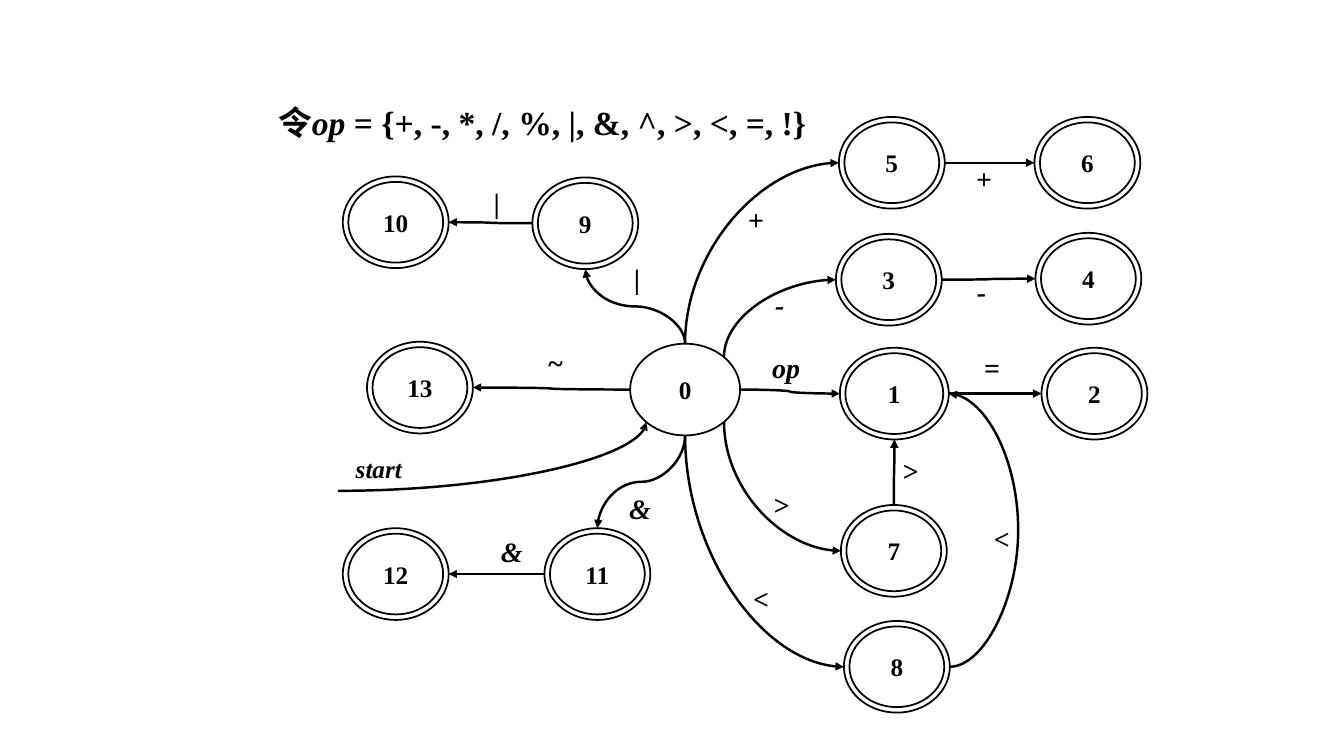
from math import cos, pi, sin

from lxml.etree import SubElement
from pptx import Presentation
from pptx.dml.color import RGBColor
from pptx.enum.shapes import MSO_CONNECTOR, MSO_SHAPE
from pptx.enum.text import MSO_ANCHOR, MSO_AUTO_SIZE, PP_ALIGN
from pptx.oxml.ns import qn
from pptx.util import Inches, Pt

TOP, LEFT, LOWER_LEFT, BOTTOM, LOWER_RIGHT, RIGHT, UPPER_RIGHT = 0, 2, 3, 4, 5, 6, 7
SIDES = (LEFT, RIGHT)


def color(hex_string):
    return RGBColor.from_string(hex_string)


class Diagram:
    ink = "000000"
    paper = "FFFFFF"
    latin = "Times New Roman"
    chinese = "Noto Sans CJK SC"

    def __init__(self, slide):
        self.slide = slide
        self.states = {}

    def run(self, paragraph, text, size, italic=False, font=None):
        run = paragraph.add_run()
        run.text = text
        run.font.name = font or self.latin
        run.font.size = Pt(size)
        run.font.bold = True
        run.font.italic = italic
        run.font.color.rgb = color(self.ink)
        if font:
            SubElement(run.font._element, qn("a:ea"), typeface=font)

    def title(self, runs, left, top, width, height):
        title = self.slide.shapes.title
        title.left, title.top = Inches(left), Inches(top)
        title.width, title.height = Inches(width), Inches(height)
        frame = title.text_frame
        frame.word_wrap = True
        frame.auto_size = MSO_AUTO_SIZE.NONE
        frame.vertical_anchor = MSO_ANCHOR.TOP
        paragraph = frame.paragraphs[0]
        paragraph.alignment = PP_ALIGN.LEFT
        for text, italic, font in runs:
            self.run(paragraph, text, 24, italic, font)

    def state(self, name, left, top, width=1.05, accepting=True):
        preset = MSO_SHAPE.DONUT if accepting else MSO_SHAPE.OVAL
        shape = self.slide.shapes.add_shape(
            preset, Inches(left), Inches(top), Inches(width), Inches(0.91))
        if accepting:
            shape.adjustments[0] = 0.06
        shape.shadow.inherit = False
        shape.fill.solid()
        shape.fill.fore_color.rgb = color(self.paper)
        shape.line.color.rgb = color(self.ink)
        shape.line.width = Pt(1.25)
        shape.text_frame.vertical_anchor = MSO_ANCHOR.MIDDLE
        paragraph = shape.text_frame.paragraphs[0]
        paragraph.alignment = PP_ALIGN.CENTER
        self.run(paragraph, name, 18)
        self.states[name] = shape

    def label(self, text, left, top, width=0.42, size=20):
        box = self.slide.shapes.add_textbox(
            Inches(left), Inches(top), Inches(width), Inches(0.44))
        box.text_frame.word_wrap = True
        box.text_frame.auto_size = MSO_AUTO_SIZE.SHAPE_TO_FIT_TEXT
        self.run(box.text_frame.paragraphs[0], text, size, italic=True)

    def site(self, name, index):
        shape = self.states[name]
        angle = index * pi / 4
        x = shape.left + shape.width / 2 * (1 - sin(angle))
        y = shape.top + shape.height / 2 * (1 - cos(angle))
        return round(x), round(y)

    def arrow(self, source, source_site, target, target_site, start=None, bulge=None):
        x1, y1 = start or self.site(source, source_site)
        x2, y2 = self.site(target, target_site)
        connector = self.slide.shapes.add_connector(MSO_CONNECTOR.CURVE, x1, y1, x2, y2)
        connector.line.color.rgb = color(self.ink)
        connector.line.width = Pt(1.75)
        SubElement(connector.line._get_or_add_ln(), qn("a:tailEnd"), type="triangle")
        properties = connector.element.find(qn("p:spPr"))
        SubElement(properties, qn("a:effectLst"))
        geometry = properties.find(qn("a:prstGeom"))
        if (source_site in SIDES) != (target_site in SIDES):
            geometry.set("prst", "curvedConnector2")
        if source_site not in SIDES:
            self.turn(connector, properties.find(qn("a:xfrm")), x2 - x1, y2 - y1)
        if bulge:
            guides = geometry.find(qn("a:avLst"))
            ratio = round((Inches(bulge) - x1) / (x2 - x1) * 100000)
            SubElement(guides, qn("a:gd"), name="adj1", fmla=f"val {ratio}")
        links = connector.element.find(".//" + qn("p:cNvCxnSpPr"))
        for tag, name, index in (("a:stCxn", source, source_site),
                                 ("a:endCxn", target, target_site)):
            if name:
                SubElement(links, qn(tag), id=str(self.states[name].shape_id), idx=str(index))

    def turn(self, connector, transform, dx, dy):
        width, height = connector.width, connector.height
        connector.left += (width - height) // 2
        connector.top += (height - width) // 2
        connector.width, connector.height = height, width
        transform.set("rot", str((90 if dx * dy < 0 else 270) * 60000))
        transform.set("flipH", str(int(dx > 0)))
        transform.set("flipV", str(int(dy < 0)))


presentation = Presentation()
presentation.slide_width = Inches(13.33)
presentation.slide_height = Inches(7.5)
slide = presentation.slides.add_slide(presentation.slide_layouts[5])
diagram = Diagram(slide)

diagram.title([("令", False, Diagram.chinese), ("op", True, None),
               (" = {+, -, *, /, %, |, &, ^, >, <, =, !}", False, None)],
              2.66, 0.96, 5.48, 0.9)

diagram.state("0", 6.25, 3.41, 1.09, accepting=False)
diagram.state("1", 8.33, 3.45, 1.08)
for name, left, top in [
    ("2", 10.33, 3.45), ("3", 8.29, 2.32), ("4", 10.27, 2.31), ("5", 8.32, 1.16),
    ("6", 10.26, 1.16), ("7", 8.34, 5.01), ("8", 8.37, 6.16), ("9", 5.28, 1.76),
    ("10", 3.4, 1.75), ("11", 5.4, 5.24), ("12", 3.4, 5.24), ("13", 3.64, 3.39),
]:
    diagram.state(name, left, top)

for transition in [
    ("0", RIGHT, "1", LEFT), ("1", RIGHT, "2", LEFT),
    ("0", UPPER_RIGHT, "3", LEFT), ("3", RIGHT, "4", LEFT),
    ("0", TOP, "5", LEFT), ("5", RIGHT, "6", LEFT),
    ("0", LOWER_RIGHT, "7", LEFT), ("7", TOP, "1", BOTTOM),
    ("0", BOTTOM, "8", LEFT),
    ("0", TOP, "9", BOTTOM), ("9", LEFT, "10", RIGHT),
    ("0", BOTTOM, "11", TOP), ("11", LEFT, "12", RIGHT),
    ("0", LEFT, "13", RIGHT),
]:
    diagram.arrow(*transition)
diagram.arrow("8", RIGHT, "1", RIGHT, bulge=10.11)
diagram.arrow(None, RIGHT, "0", LOWER_LEFT, start=(Inches(3.35), Inches(4.87)))

diagram.label("start", 3.43, 4.45, 0.8, 18)
diagram.label("op", 7.56, 3.43, 0.63)
for symbol, left, top in [
    ("=", 9.66, 3.43), ("-", 7.59, 2.8), ("-", 9.59, 2.67), ("+", 7.32, 1.96),
    ("+", 9.58, 1.55), (">", 7.57, 4.79), (">", 8.85, 4.45), ("<", 7.37, 5.72),
    ("<", 9.76, 5.12), ("|", 6.19, 2.55), ("|", 4.8, 1.79), ("&", 6.14, 4.83),
    ("&", 4.87, 5.25), ("~", 5.33, 3.38),
]:
    diagram.label(symbol, left, top)

presentation.save("out.pptx")
